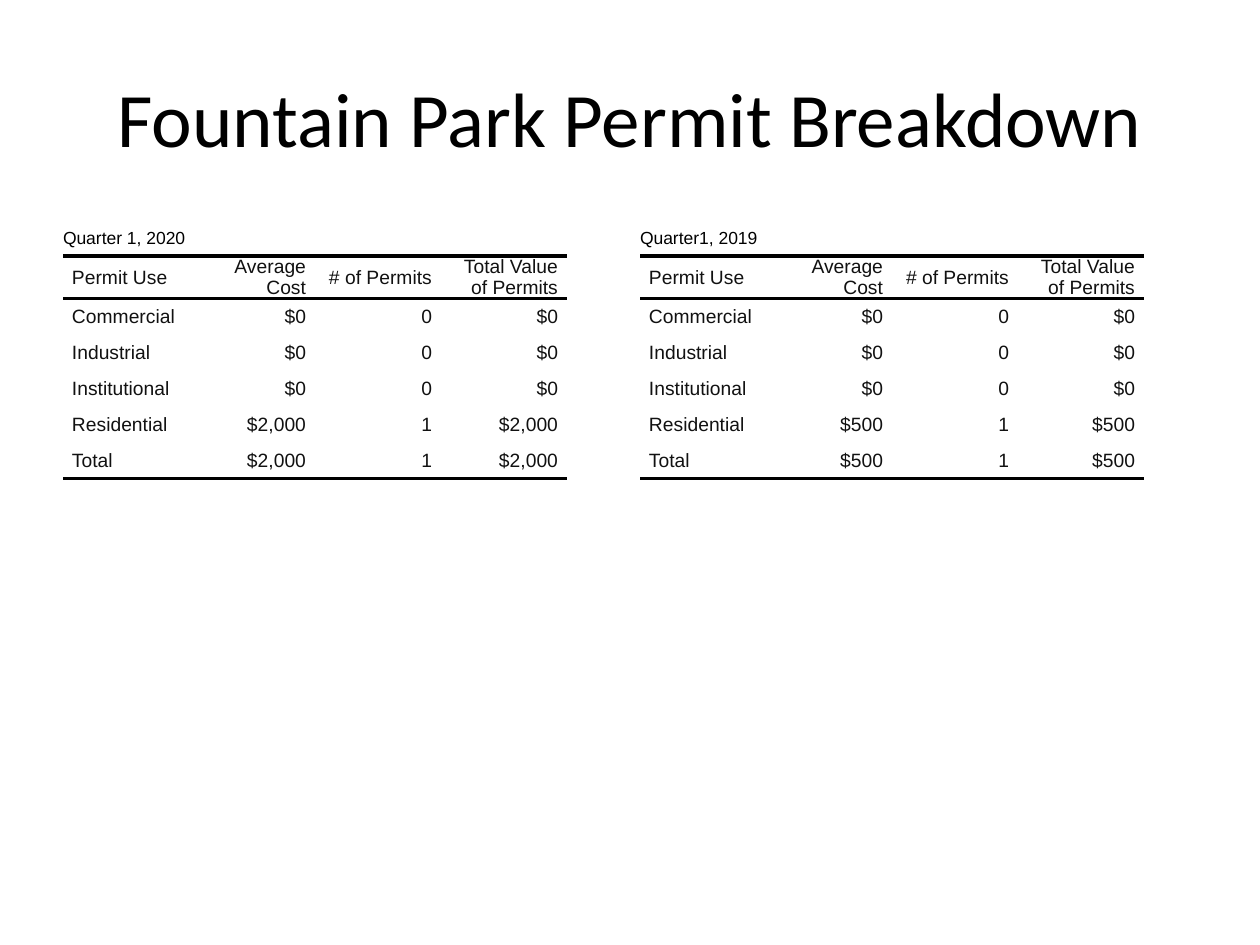
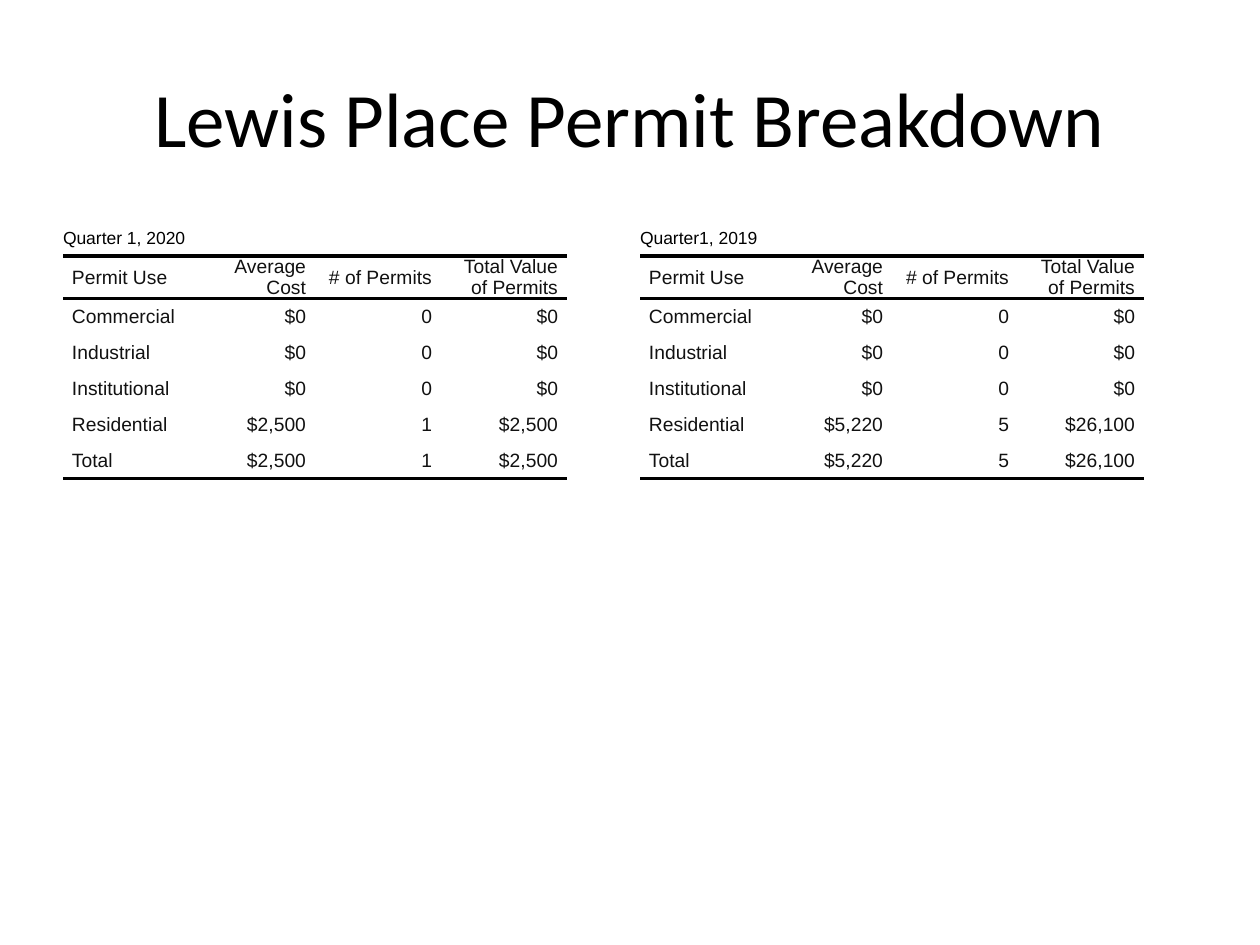
from typing import NamedTuple

from lxml.etree import SubElement
from pptx import Presentation
from pptx.dml.color import RGBColor
from pptx.enum.text import MSO_ANCHOR as Anchor, PP_ALIGN as Align
from pptx.oxml.ns import qn
from pptx.util import Emu, Pt

PX = 914400 / 126
BLACK = "000000"
INK = "111111"
NO_GRID = "{2D5ABB26-0587-4C30-8999-92F81FD0307C}"
COLUMN, ROW, INDENT = 126, 36, 9
TOP, LEFTS = 220, (63, 640)
FRAME = (557, 624)
HEADER = ("Permit Use", "Average Cost", "# of Permits", "Total Value of Permits")
UNUSED = ("Commercial", "Industrial", "Institutional")


class Quarter(NamedTuple):
    caption: str
    average: str
    permits: str
    total: str


class Neighborhood(NamedTuple):
    name: str
    quarters: tuple[Quarter, Quarter]


NEIGHBORHOODS = (
    Neighborhood("Fountain Park", (
        Quarter("Quarter 1, 2020", "$2,000", "1", "$2,000"),
        Quarter("Quarter1, 2019", "$500", "1", "$500"),
    )),
    Neighborhood("Lewis Place", (
        Quarter("Quarter 1, 2020", "$2,500", "1", "$2,500"),
        Quarter("Quarter1, 2019", "$5,220", "5", "$26,100"),
    )),
)


def px(n: int) -> Emu:
    return Emu(round(n * PX))


def rgb(color: str) -> RGBColor:
    return RGBColor.from_string(color)


def add_run(p, text: str, font: str, size: int, color: str) -> None:
    r = p.add_run()
    r.text = text
    r.font.name = font
    r.font.size = Pt(size)
    r.font.color.rgb = rgb(color)


def add_border(cell, side: str) -> None:
    ln = SubElement(cell._tc.get_or_add_tcPr(), qn(f"a:ln{side}"), w=str(Pt(2)))
    fill = SubElement(ln, qn("a:solidFill"))
    SubElement(fill, qn("a:srgbClr"), val=BLACK)


def fill_cell(cell, text: str, size: int, color: str, indent: int = 0,
              align: Align = Align.LEFT, borders: str = "") -> None:
    cell.margin_left = cell.margin_right = cell.margin_top = cell.margin_bottom = 0
    cell.vertical_anchor = Anchor.MIDDLE
    for side in borders:
        add_border(cell, side)
    cell.fill.background()
    p = cell.text_frame.paragraphs[0]
    p.alignment = align
    pPr = p._p.get_or_add_pPr()
    pPr.set("marL", str(px(indent)))
    pPr.set("marR", str(px(indent)))
    add_run(p, text, "Arial", size, color)


def add_permit_table(s, left: int, quarter: Quarter) -> None:
    figures = (quarter.average, quarter.permits, quarter.total)
    rows = [HEADER, *((use, "$0", "0", "$0") for use in UNUSED),
            ("Residential", *figures), ("Total", *figures)]
    borders = {1: "TB", len(rows): "B"}
    width, height = map(px, FRAME)
    frame = s.shapes.add_table(len(rows) + 1, len(HEADER), px(left), px(TOP), width, height)
    table = frame.table
    table.first_row = table.horz_banding = False
    table._tbl.tblPr.find(qn("a:tableStyleId")).text = NO_GRID
    for column in table.columns:
        column.width = px(COLUMN)
    for row in table.rows:
        row.height = px(ROW)
    frame.width, frame.height = width, height

    caption = table.cell(0, 0)
    caption.merge(table.cell(0, len(HEADER) - 1))
    fill_cell(caption, quarter.caption, 10, BLACK)
    for i, texts in enumerate(rows, 1):
        for j, text in enumerate(texts):
            align = Align.RIGHT if j else Align.LEFT
            fill_cell(table.cell(i, j), text, 11, INK, INDENT, align, borders.get(i, ""))


def add_title(s, text: str) -> None:
    title = s.shapes.title
    title.left, title.top, title.width, title.height = map(px, (63, 38, 1134, 158))
    tf = title.text_frame
    tf.vertical_anchor = Anchor.MIDDLE
    p = tf.paragraphs[0]
    p.alignment = Align.CENTER
    add_run(p, text, "Calibri", 44, BLACK)


def main() -> None:
    prs = Presentation()
    prs.slide_width, prs.slide_height = px(1260), px(945)
    for neighborhood in NEIGHBORHOODS:
        s = prs.slides.add_slide(prs.slide_layouts[5])
        add_title(s, f"{neighborhood.name} Permit Breakdown")
        for left, quarter in zip(LEFTS, neighborhood.quarters):
            add_permit_table(s, left, quarter)
    prs.save("out.pptx")


if __name__ == "__main__":
    main()
